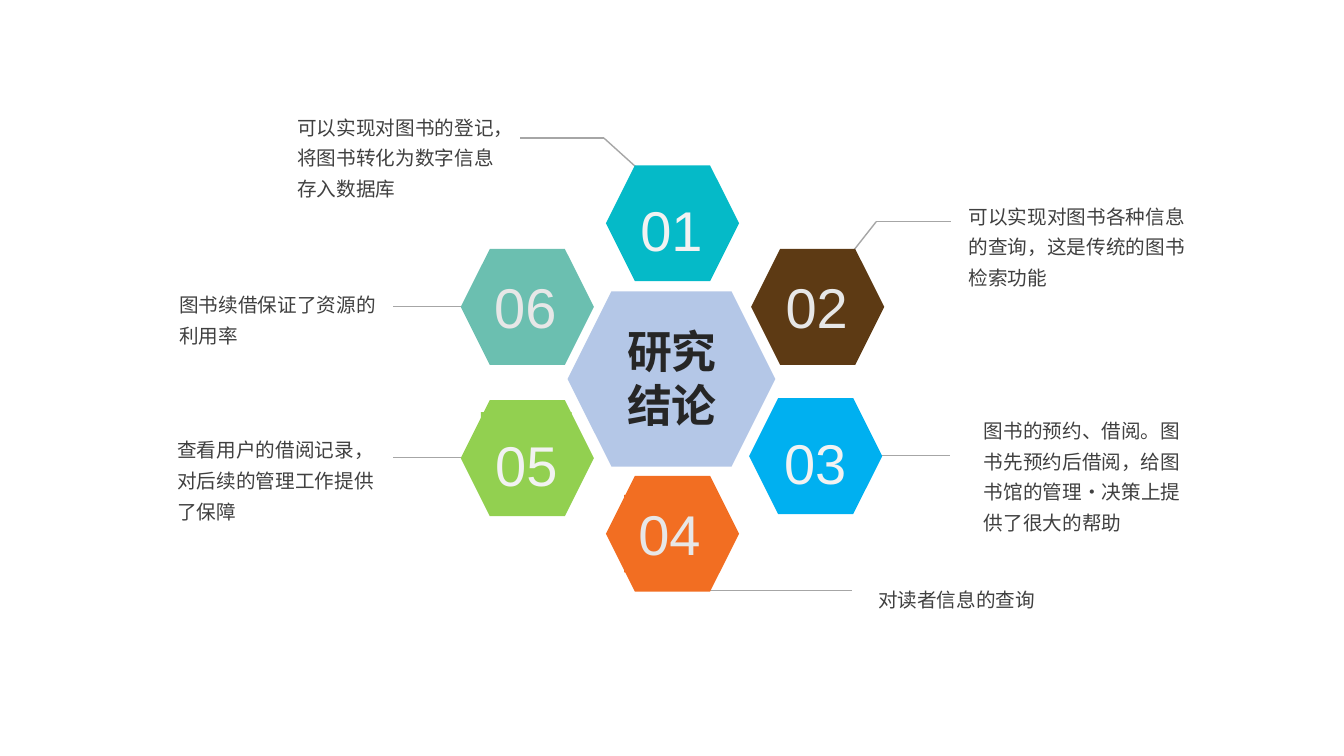
from lxml import etree
from pptx import Presentation
from pptx import util as u
from pptx.dml.color import RGBColor
from pptx.enum import shapes, text
from pptx.oxml.ns import qn

COLOURS = {
    "centre": "B4C7E7", "heading": "262626", "body": "404040", "line": "A6A6A6",
    "bright": "F2F2F2", "pale": "E7E7E7", "teal": "05BAC8", "brown": "5D3A14",
    "blue": "00B0F0", "orange": "F26E22", "green": "92D050", "sage": "6BBFB0",
}
PX = u.Inches(1) // 100
CJK = "Noto Sans CJK SC"
GROW = text.MSO_AUTO_SIZE.SHAPE_TO_FIT_TEXT
FIXED = text.MSO_AUTO_SIZE.NONE


def write_text(frame, wording, size, colour, font=CJK, bold=False, align=None,
               spacing=1.0, fit=GROW):
    frame.word_wrap = True
    frame.vertical_anchor = text.MSO_ANCHOR.TOP
    frame.auto_size = fit
    paragraph = frame.paragraphs[0]
    paragraph.alignment = align
    paragraph.line_spacing = spacing
    run = paragraph.add_run()
    run.text = wording
    run.font.size = u.Pt(size)
    run.font.bold = bold
    run.font.name = font
    run.font.color.rgb = RGBColor.from_string(COLOURS[colour])
    etree.SubElement(run.font._element, qn("a:ea")).set("typeface", font)


class Diagram:
    """Draws the parts of a hexagon diagram on one slide."""

    def __init__(self, slide):
        self.slide = slide

    def scale(self, *lengths):
        return [length * PX for length in lengths]

    def paint(self, shape, colour):
        shape.fill.solid()
        shape.fill.fore_color.rgb = RGBColor.from_string(COLOURS[colour])

    def hexagon(self, left, top, width, height, colour):
        cell = self.slide.shapes.add_shape(
            shapes.MSO_SHAPE.HEXAGON, *self.scale(left, top, width, height))
        cell.shadow.inherit = False
        cell.line.fill.background()
        self.paint(cell, colour)

    def leader(self, *ends):
        leader = self.slide.shapes.add_connector(
            shapes.MSO_CONNECTOR.STRAIGHT, *self.scale(*ends))
        leader.line.width = u.Pt(1)
        leader.line.color.rgb = RGBColor.from_string(COLOURS["line"])
        etree.SubElement(leader._element.spPr, qn("a:effectLst"))

    def label(self, box, wording, fill=None, **style):
        label = self.slide.shapes.add_textbox(*self.scale(*box))
        if fill:
            self.paint(label, fill)
        write_text(label.text_frame, wording, **style)

    def title(self, box, wording, **style):
        title = self.slide.shapes.title
        title.left, title.top, title.width, title.height = self.scale(*box)
        write_text(title.text_frame, wording, fit=FIXED, **style)
        self.slide.shapes._spTree.append(title._element)


def main():
    deck = Presentation()
    deck.slide_width, deck.slide_height = 1333 * PX, 750 * PX
    diagram = Diagram(deck.slides.add_slide(deck.slide_layouts[5]))
    centred = text.PP_ALIGN.CENTER

    leaders = [
        (942, 452, 875, 452), (704, 586, 845, 586), (457, 454, 390, 454),
        (457, 304, 390, 304), (630, 165, 599, 137), (599, 137, 516, 137),
        (847, 248, 869, 220), (869, 220, 943, 220),
    ]
    for ends in leaders:
        diagram.leader(*ends)

    cells = [
        ("02", 745, 247, "brown", (765, 265, 90, 77), "pale", 1.0, None),
        ("01", 601, 164, "teal", (618, 176, 96, 83), "bright", 1.2, None),
        ("03", 743, 395, "blue", (758, 407, 101, 83), "bright", 1.2, None),
        ("05", 457, 397, "green", (477, 409, 90, 83), "bright", 1.2, "green"),
        ("06", 457, 247, "sage", (476, 265, 90, 77), "pale", 1.0, None),
        ("04", 601, 472, "orange", (619, 491, 90, 77), "pale", 1.0, "orange"),
    ]
    for number, left, top, colour, box, ink, spacing, backing in cells:
        diagram.hexagon(left, top, 132, 115, colour)
        diagram.label(box, number, backing, size=40, colour=ink, font="Arial",
                      align=centred, spacing=spacing)

    diagram.hexagon(563, 289, 206, 174, "centre")
    diagram.title((603, 316, 127, 121), "研究结论", size=32, colour="heading",
                  bold=True, align=centred)

    conclusions = [
        ((285, 103, 222, 99), "可以实现对图书的登记，将图书转化为数字信息存入数据库"),
        ((166, 423, 222, 99), "查看用户的借阅记录，对后续的管理工作提供了保障"),
        ((168, 279, 222, 68), "图书续借保证了资源的利用率"),
        ((861, 571, 222, 38), "对读者信息的查询"),
        ((966, 404, 222, 130), "图书的预约、借阅。图书先预约后借阅，给图书馆的管理·决策上提供了很大的帮助"),
        ((951, 191, 253, 99), "可以实现对图书各种信息的查询，这是传统的图书检索功能"),
    ]
    for box, wording in conclusions:
        diagram.label(box, wording, size=14, colour="body", spacing=1.3)

    deck.save("out.pptx")


if __name__ == "__main__":
    main()
